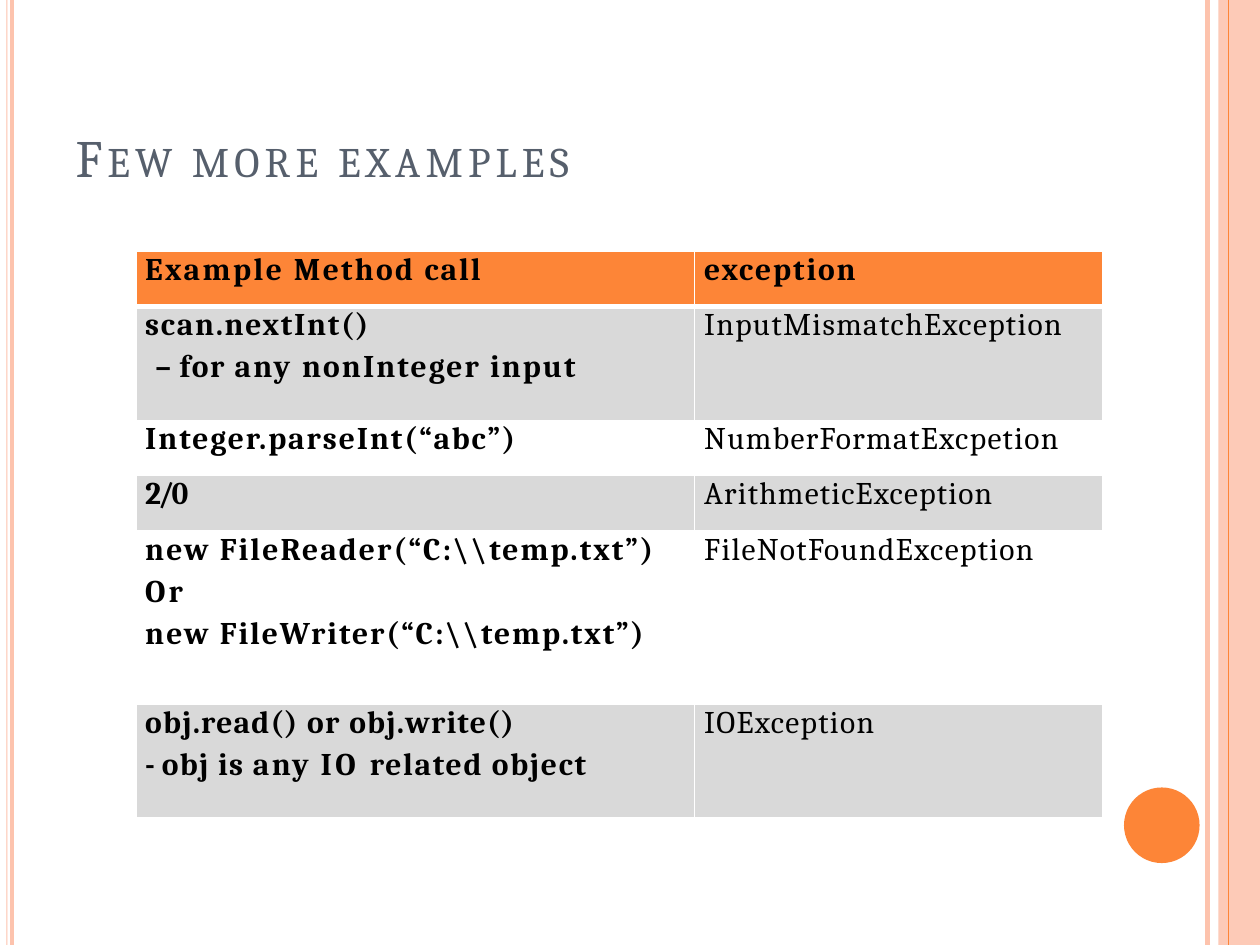
from lxml.etree import SubElement
from pptx import Presentation
from pptx.dml.color import RGBColor
from pptx.enum.shapes import MSO_CONNECTOR, MSO_SHAPE
from pptx.oxml.ns import qn
from pptx.util import Pt

WIDTH, HEIGHT = 720, 540
FONT = "Cambria"
ORANGE, PEACH, GREY = "FD8537", "FDC3AD", "D9D9D9"
WHITE, BLACK, SLATE = "FFFFFF", "000000", "565F6C"

COLUMNS = [319, 233.4]
ROW_HEIGHTS = [31.5, 65.2, 31.5, 31.5, 99, 65.3]
CELL_INDENTS = [5.2, 5.6]
DASH_INDENT = 5.8

# Each cell is a list of lines; each line is a list of (text, letter spacing)
ROWS = [
    ([[("Example ", 1.4), ("Method ", 1.3), ("call", 1.1)]],
     [[("exception", 1.1)]]),
    ([[("scan.nextInt()", 1)],
      [("–", 0), (" for ", 0.9), ("any ", 1.4), ("nonInteger input", 1.2)]],
     [[("InputMismatchException", 0.8)]]),
    ([[("Integer.parseInt(“abc”)", 1.1)]],
     [[("NumberFormatExcpetion", 0.8)]]),
    ([[("2/0", -1.6)]],
     [[("ArithmeticException", 0.7)]]),
    ([[("new FileReader(“C:\\\\temp.txt”)", 1.2)],
      [("Or", 1.8)],
      [("new ", 1.2), ("FileWriter(“C:\\\\temp.txt”)", 1.1)]],
     [[("FileNotFoundException", 0.8)]]),
    ([[("obj.read() ", 0.7), ("or ", 0.8), ("obj.write()", 0.7)],
      [("- ", -0.1), ("obj is ", 0.8), ("any ", 1.4), ("IO ", 2),
       ("related object", 1)]],
     [[("IOException", 0.8)]]),
]


def color(hex_string):
    return RGBColor.from_string(hex_string)


def add_span(para, text, size, hex_string, spacing, bold=False):
    span = para.add_run()
    span.text = text
    span.font.name = FONT
    span.font.size = Pt(size)
    span.font.bold = bold
    span.font.color.rgb = color(hex_string)
    span._r.get_or_add_rPr().set("spc", str(round(spacing * 100)))


def set_margins(holder, left):
    holder.margin_left = Pt(left)
    holder.margin_top = Pt(0.7)
    holder.margin_right = holder.margin_bottom = 0


def add_filled(page, kind, left, top, width, height, fill, opacity=100):
    shape = page.shapes.add_shape(kind, Pt(left), Pt(top), Pt(width), Pt(height))
    shape.shadow.inherit = False
    shape.fill.solid()
    shape.fill.fore_color.rgb = color(fill)
    shape.line.fill.background()
    if opacity < 100:
        tint = shape.fill._xPr.find(qn("a:solidFill"))[0]
        SubElement(tint, qn("a:alpha"), val=str(opacity * 1000))


def add_rule(page, x, top, height, stroke, weight):
    rule = page.shapes.add_connector(
        MSO_CONNECTOR.STRAIGHT, Pt(x), Pt(top), Pt(x), Pt(top + height))
    rule.line.color.rgb = color(stroke)
    rule.line.width = Pt(weight)
    SubElement(rule._element.spPr, qn("a:effectLst"))


def add_left_edge(page, left, top, height):
    for offset, width in ((0, 0.7), (2.2, 2.2)):
        add_filled(page, MSO_SHAPE.RECTANGLE, left + offset, top, width, height, PEACH)


def add_right_edge(page, left, top, height):
    add_rule(page, left, top, height, PEACH, 3)
    add_filled(page, MSO_SHAPE.OVAL, left - 47.7, top + 450, 43.2, 43.2, ORANGE)
    add_filled(page, MSO_SHAPE.RECTANGLE, left + 6.2, top, 23.8, height, PEACH, 87)
    add_rule(page, left + 12, top, height, ORANGE, 0.75)


def add_title(page, left, top, width, height):
    box = page.shapes.add_textbox(Pt(left), Pt(top), Pt(width), Pt(height))
    frame = box.text_frame
    set_margins(frame, 0.7)
    para = frame.paragraphs[0]
    para.space_before = Pt(1)
    # Small capitals: a large initial, then smaller letters
    for text, size, spacing in (("F", 30, 2.9), ("EW ", 24, 2.9),
                                ("MORE EXAMPLES", 24, 3)):
        add_span(para, text, size, SLATE, spacing)


def set_border(cell, side, weight):
    edge = SubElement(cell._tc.get_or_add_tcPr(), qn(f"a:ln{side}"),
                      w=str(Pt(weight)))
    fill = SubElement(edge, qn("a:solidFill"))
    SubElement(fill, qn("a:srgbClr"), val=WHITE)


def fill_cell(cell, lines, indent, bold):
    set_margins(cell, indent)
    for index, line in enumerate(lines):
        frame = cell.text_frame
        para = frame.add_paragraph() if index else frame.paragraphs[0]
        para.space_before = Pt(3.2 if index else 0.7)
        if line[0][0] == "–":
            para._p.get_or_add_pPr().set("marL", str(Pt(DASH_INDENT)))
        for text, spacing in line:
            add_span(para, text, 18, BLACK, spacing, bold)


def add_exception_table(page, left, top):
    frame = page.shapes.add_table(
        len(ROWS), len(COLUMNS), Pt(left), Pt(top),
        Pt(sum(COLUMNS)), Pt(sum(ROW_HEIGHTS)))
    table = frame.table
    table.horz_banding = False
    for column, width in zip(table.columns, COLUMNS):
        column.width = Pt(width)
    for r, (row, height) in enumerate(zip(ROWS, ROW_HEIGHTS)):
        table.rows[r].height = Pt(height)
        for c, lines in enumerate(row):
            cell = table.cell(r, c)
            fill_cell(cell, lines, CELL_INDENTS[c], bold=r == 0 or c == 0)
            # Thick rule under the header, thin ones elsewhere
            for side, thick in (("L", False), ("R", False),
                                ("T", r == 1), ("B", r == 0)):
                set_border(cell, side, 3 if thick else 1)
            if r == 0 or r % 2:
                cell.fill.solid()
                cell.fill.fore_color.rgb = color(GREY if r else ORANGE)
            else:
                cell.fill.background()


def main():
    deck = Presentation()
    deck.slide_width, deck.slide_height = Pt(WIDTH), Pt(HEIGHT)
    page = deck.slides.add_slide(deck.slide_layouts[6])
    add_right_edge(page, 690, 0, HEIGHT)
    add_left_edge(page, 3.6, 0, HEIGHT)
    add_title(page, 42.5, 70.6, 294.5, 38)
    add_exception_table(page, 77.8, 143.5)
    deck.save("out.pptx")


if __name__ == "__main__":
    main()
